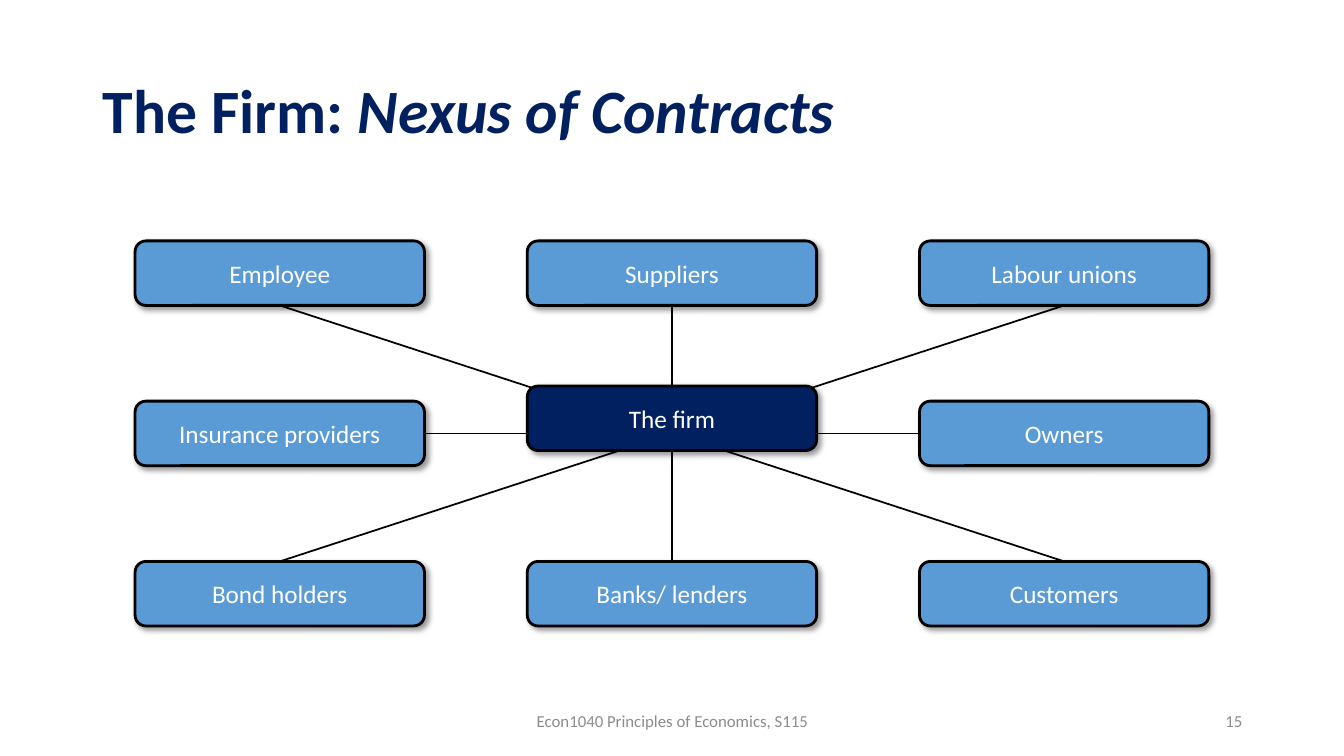
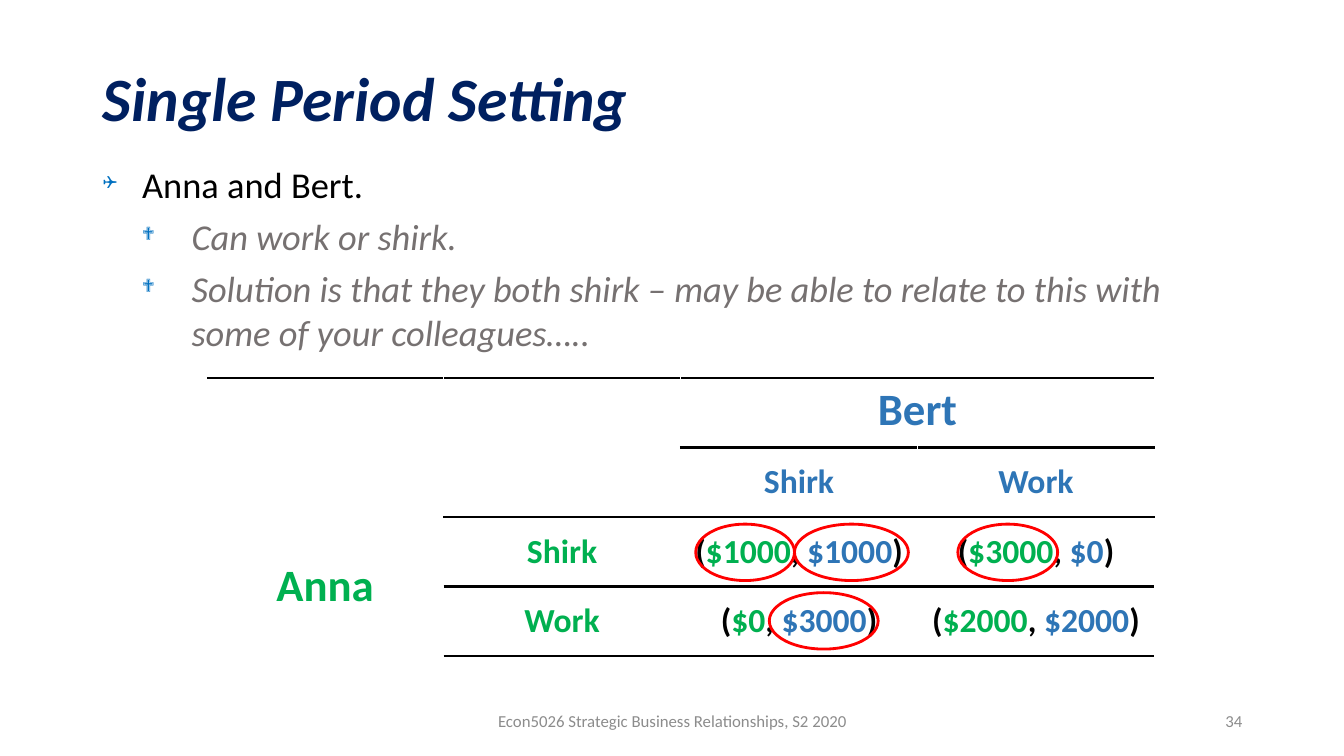
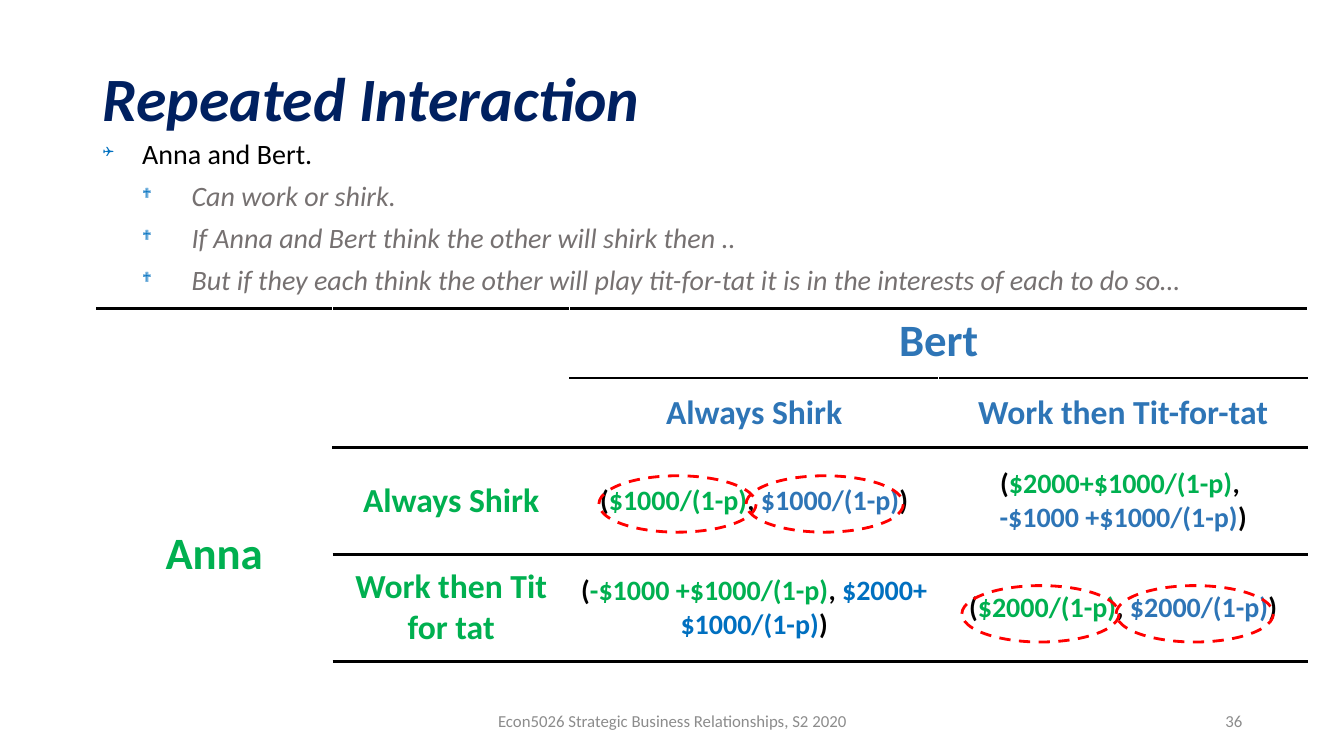
from lxml.etree import SubElement
from pptx import Presentation
from pptx.dml.color import RGBColor
from pptx.enum.dml import MSO_LINE
from pptx.enum.shapes import MSO_CONNECTOR, MSO_SHAPE
from pptx.enum.text import MSO_ANCHOR, MSO_AUTO_SIZE, PP_ALIGN
from pptx.oxml.ns import qn
from pptx.util import Emu, Pt

FONT = "Calibri"
NAVY, SKY, BLUE, BULLET_BLUE = "002060", "5B9BD5", "2E75B6", "0070C0"
GREEN, RED, GREY, FOOTER_GREY = "00B050", "FF0000", "767171", "8C8C8C"
BLACK, WHITE = "000000", "FFFFFF"
TITLE_ONLY, TITLE_AND_BODY = 5, 1
NO_STYLE = "{2D5ABB26-0587-4C30-8999-92F81FD0307C}"
RULE = 2.25
STRATEGY = "Econ5026 Strategic Business Relationships, S2 2020"
BOTTOM, TOP, LEFT, RIGHT = 2, 0, 1, 3


def px(n):
    """One hundred px make an inch."""
    return Emu(n * 9144)


def rgb(color):
    return RGBColor.from_string(color)


def add_xml(parent, tag, **attrs):
    return SubElement(parent, qn(tag), {k: str(v) for k, v in attrs.items()})


def place(shape, *box):
    shape.left, shape.top, shape.width, shape.height = map(px, box)


def style(p, size, color=None, bold=None, italic=None, align=None):
    p.font.name, p.font.size = FONT, Pt(size)
    p.font.bold, p.font.italic = bold, italic
    if color:
        p.font.color.rgb = rgb(color)
    if align is not None:
        p.alignment = align


def add_footer_text(s, text, x, w, align):
    tf = s.shapes.add_textbox(px(x), px(695), px(w), px(40)).text_frame
    tf.word_wrap, tf.vertical_anchor = True, MSO_ANCHOR.MIDDLE
    p = tf.paragraphs[0]
    p.text = text
    style(p, 12, FOOTER_GREY, align=align)


def new_slide(prs, layout, title, title_h, footer, number):
    """title is a list of (text, italic) runs."""
    s = prs.slides.add_slide(prs.slide_layouts[layout])
    place(s.shapes.title, 92, 40, 1150, title_h)
    tf = s.shapes.title.text_frame
    tf.auto_size, tf.vertical_anchor = MSO_AUTO_SIZE.NONE, MSO_ANCHOR.MIDDLE
    p = tf.paragraphs[0]
    p.line_spacing = 0.9
    style(p, 44, NAVY, bold=True, align=PP_ALIGN.LEFT)
    for text, italic in title:
        r = p.add_run()
        r.text, r.font.italic = text, italic
    add_footer_text(s, footer, 442, 450, PP_ALIGN.CENTER)
    add_footer_text(s, number, 942, 300, PP_ALIGN.RIGHT)
    return s


def set_bullet(p, char, margin, hang):
    pPr = p._p.get_or_add_pPr()
    pPr.set("marL", str(px(margin)))
    pPr.set("indent", str(-px(hang)))
    add_xml(add_xml(pPr, "a:buClr"), "a:srgbClr", val=BULLET_BLUE)
    add_xml(pPr, "a:buSzPct", val=50000)
    add_xml(pPr, "a:buFont", typeface="Wingdings")
    add_xml(pPr, "a:buChar", char=char)


def fill_body(s, top, height, size, lead, points):
    body = s.placeholders[1]
    place(body, 92, top, 1150, height)
    tf = body.text_frame
    tf.auto_size, tf.vertical_anchor = MSO_AUTO_SIZE.NONE, MSO_ANCHOR.TOP
    p = tf.paragraphs[0]
    p.text = lead
    set_bullet(p, "❑", 39, 39)
    p.line_spacing, p.space_before = 1.2, Pt(0)
    style(p, size, BLACK)
    for point in points:
        p = tf.add_paragraph()
        p.text = point
        set_bullet(p, "❖", 88, 49)
        p.line_spacing, p.space_before = 1.0, Pt(6)
        style(p, size, GREY, italic=True)


def add_node(s, text, x, y, fill=SKY):
    node = s.shapes.add_shape(MSO_SHAPE.ROUNDED_RECTANGLE, px(x), px(y), px(287), px(64))
    node.fill.solid()
    node.fill.fore_color.rgb = rgb(fill)
    node.line.color.rgb, node.line.width = rgb(BLACK), Pt(2)
    node.shadow.inherit = False
    effects = node._element.spPr.find(qn("a:effectLst"))
    shadow = add_xml(effects, "a:outerShdw", blurRad=Pt(4), dist=Pt(3),
                     dir=45 * 60000, algn="tl", rotWithShape=0)
    add_xml(add_xml(shadow, "a:srgbClr", val=BLACK), "a:alpha", val=40000)
    tf = node.text_frame
    tf.word_wrap, tf.vertical_anchor = True, MSO_ANCHOR.MIDDLE
    p = tf.paragraphs[0]
    p.text = text
    style(p, 18, WHITE, align=PP_ALIGN.CENTER)
    return node


def join(s, start, start_side, end, end_side):
    c = s.shapes.add_connector(MSO_CONNECTOR.STRAIGHT, 0, 0, 0, 0)
    c.begin_connect(start, start_side)
    c.end_connect(end, end_side)
    c.line.color.rgb, c.line.width = rgb(BLACK), Pt(1.25)
    add_xml(c._element.spPr, "a:effectLst")


def add_ring(s, x, y, w, dash=None):
    ring = s.shapes.add_shape(MSO_SHAPE.OVAL, px(x), px(y), px(w), px(56))
    ring.shadow.inherit = False
    ring.fill.background()
    ring.line.color.rgb, ring.line.width = rgb(RED), Pt(2)
    if dash:
        ring.line.dash_style = dash


def payoff(anna, bert, bert_color=BLUE):
    """Coloured runs of one pair of payoffs."""
    return [("(", BLACK), (anna, GREEN), (", ", BLACK), (bert, bert_color), (")", BLACK)]


def write_cell(cell, size, *paragraphs):
    cell.vertical_anchor = MSO_ANCHOR.MIDDLE
    tf = cell.text_frame
    for i, runs in enumerate(paragraphs):
        p = tf.add_paragraph() if i else tf.paragraphs[0]
        style(p, size, bold=True, align=PP_ALIGN.CENTER)
        for text, color in runs:
            r = p.add_run()
            r.text, r.font.color.rgb = text, rgb(color)


def set_borders(cell, row, col):
    """Rule r lies above row r; inner rules start further right."""
    first_ruled = [0, 2, 1, 1, 0]
    pPr = cell._tc.get_or_add_tcPr()
    sides = []
    if row < 2:
        sides += [("a:lnL", WHITE, 1), ("a:lnR", WHITE, 1)]
    for tag, rule in (("a:lnT", row), ("a:lnB", row + 1)):
        if col >= first_ruled[rule]:
            sides.append((tag, BLACK, RULE))
    for tag, color, width in sides:
        ln = add_xml(pPr, tag, w=Pt(width))
        add_xml(add_xml(ln, "a:solidFill"), "a:srgbClr", val=color)


def add_game(s, x, y, col_widths, row_heights, bert_moves, anna_moves, payoffs, size):
    """payoffs holds, by row and column, a list of paragraphs of runs."""
    frame = s.shapes.add_table(4, 4, px(x), px(y), px(sum(col_widths)), px(sum(row_heights)))
    table = frame.table
    table.first_row = table.horz_banding = False
    table._tbl.tblPr.find(qn("a:tableStyleId")).text = NO_STYLE
    for col, w in zip(table.columns, col_widths):
        col.width = px(w)
    for row, h in zip(table.rows, row_heights):
        row.height = px(h)
    for row in range(4):
        for col in range(4):
            cell = table.cell(row, col)
            set_borders(cell, row, col)
            cell.fill.background()
    table.cell(0, 2).merge(table.cell(0, 3))
    table.cell(2, 0).merge(table.cell(3, 0))
    write_cell(table.cell(0, 2), 32, [("Bert", BLUE)])
    table.cell(0, 2).vertical_anchor = MSO_ANCHOR.TOP
    write_cell(table.cell(2, 0), 32, [("Anna", GREEN)])
    for i in range(2):
        write_cell(table.cell(1, 2 + i), 24, [(bert_moves[i], BLUE)])
        write_cell(table.cell(2 + i, 1), 24, [(anna_moves[i], GREEN)])
        for j in range(2):
            write_cell(table.cell(2 + i, 2 + j), size, *payoffs[i][j])


def nexus_slide(prs):
    s = new_slide(prs, TITLE_ONLY, [("The Firm: ", False), ("Nexus of Contracts", True)],
                  145, "Econ1040 Principles of Economics, S115", "15")
    parties = [["Employee", "Suppliers", "Labour unions"],
               ["Insurance providers", None, "Owners"],
               ["Bond holders", "Banks/ lenders", "Customers"]]
    nodes = {}
    for row, names in enumerate(parties):
        for col, name in enumerate(names):
            if name:
                nodes[name] = add_node(s, name, 134 + 389 * col, 239 + 159 * row)
    for start, start_side, end, end_side in (
            ("Employee", BOTTOM, "Customers", TOP),
            ("Bond holders", TOP, "Labour unions", BOTTOM),
            ("Suppliers", BOTTOM, "Banks/ lenders", TOP),
            ("Insurance providers", RIGHT, "Owners", LEFT)):
        join(s, nodes[start], start_side, nodes[end], end_side)
    add_node(s, "The firm", 523, 383, NAVY)


def single_period_slide(prs):
    s = new_slide(prs, TITLE_AND_BODY, [("Single Period Setting", True)], 121, STRATEGY, "34")
    fill_body(s, 147, 528, 26, "Anna and Bert.", [
        "Can work or shirk.",
        "Solution is that they both shirk – may be able to relate to this with "
        "some of your colleagues….."])
    moves = ["Shirk", "Work"]
    add_game(s, 205, 375, [235] * 4, [69] * 4, moves, moves,
             [[[payoff("$1000", "$1000")], [payoff("$3000", "$0")]],
              [[payoff("$0", "$3000")], [payoff("$2000", "$2000")]]], 24)
    for x, y, w in ((690, 520, 98), (788, 520, 113), (950, 520, 99), (763, 588, 108)):
        add_ring(s, x, y, w)


def repeated_slide(prs):
    s = new_slide(prs, TITLE_AND_BODY, [("Repeated Interaction", True)], 121, STRATEGY, "36")
    fill_body(s, 124, 552, 20, "Anna and Bert.", [
        "Can work or shirk.",
        "If Anna and Bert think the other will shirk then ..",
        "But if they each think the other will play tit-for-tat it is in the "
        "interests of each to do so…"])
    shirked = payoff("$2000+$1000/(1-p)", "-$1000 +$1000/(1-p)")
    add_game(s, 95, 306, [235, 235, 366, 366], [69, 69, 106, 106],
             ["Always Shirk", "Work then Tit-for-tat"],
             ["Always Shirk", "Work then Tit for tat"],
             [[[payoff("$1000/(1-p)", "$1000/(1-p)")], [shirked[:3], shirked[3:]]],
              [[payoff("-$1000 +$1000/(1-p)", "$2000+$1000/(1-p)", BULLET_BLUE)],
               [payoff("$2000/(1-p)", "$2000/(1-p)")]]], 20)
    for x, y in ((594, 472), (740, 472), (954, 581), (1107, 581)):
        add_ring(s, x, y, 156, MSO_LINE.DASH)


def main():
    prs = Presentation()
    prs.slide_width, prs.slide_height = px(1333), px(750)
    nexus_slide(prs)
    single_period_slide(prs)
    repeated_slide(prs)
    prs.save("out.pptx")


if __name__ == "__main__":
    main()
